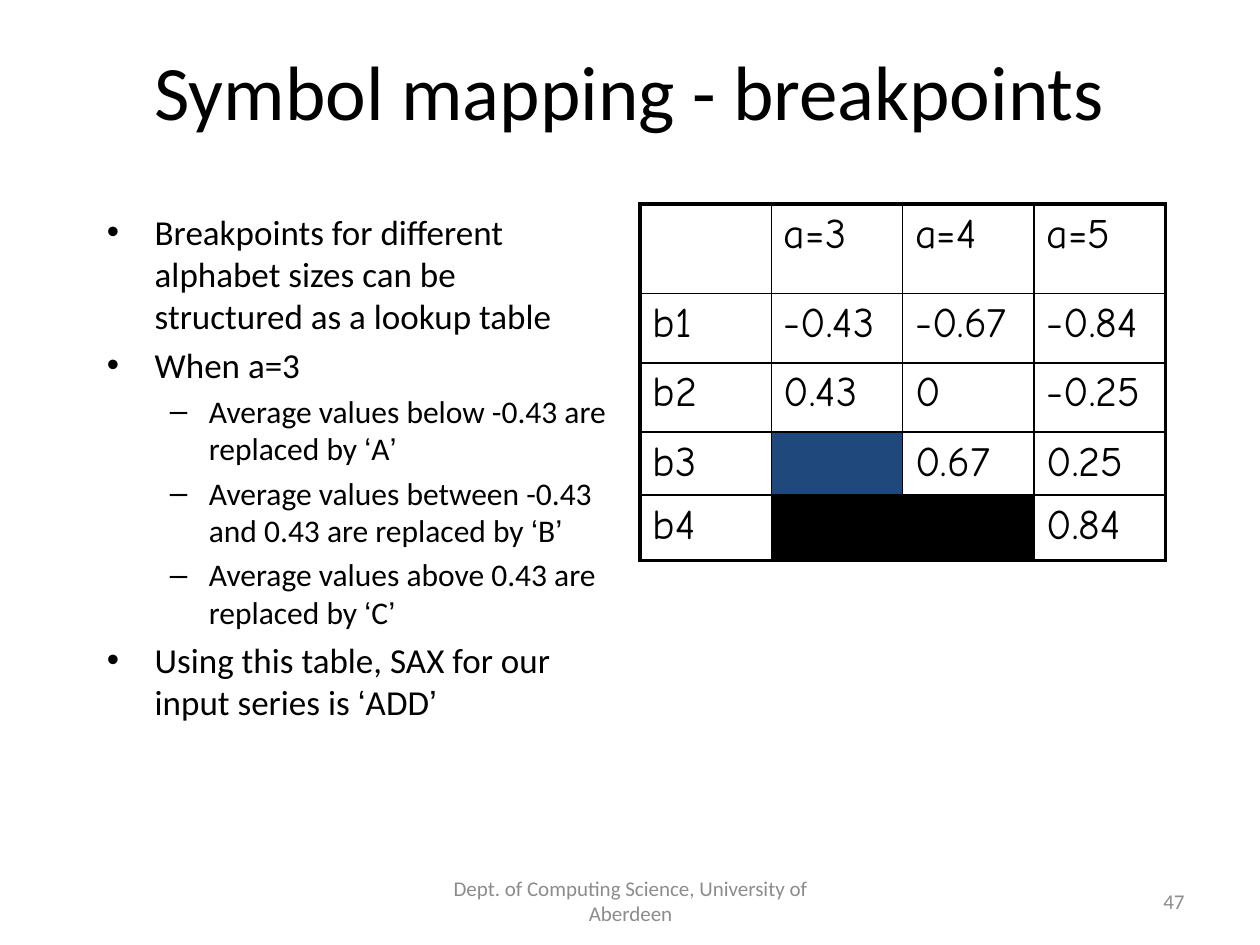
import itertools

import lxml.etree
import pptx
import pptx.dml.color
import pptx.enum.text
import pptx.oxml.ns
import pptx.util

PX = 9144
BLACK = pptx.dml.color.RGBColor(0x00, 0x00, 0x00)
GREY = pptx.dml.color.RGBColor(0x8C, 0x8C, 0x8C)
NAVY = pptx.dml.color.RGBColor(0x1F, 0x49, 0x7D)
ALIGN = pptx.enum.text.PP_ALIGN
ANCHOR = pptx.enum.text.MSO_ANCHOR

BULLETS = [
    (0, "Breakpoints for different alphabet sizes can be structured as a lookup table"),
    (0, "When a=3"),
    (1, "Average values below -0.43 are replaced by ‘A’"),
    (1, "Average values between -0.43 and 0.43 are replaced by ‘B’"),
    (1, "Average values above 0.43 are replaced by ‘C’"),
    (0, "Using this table, SAX for our input series is ‘ADD’"),
]
LEVELS = [("•", 38, 38, 20), ("–", 81, 31, 18)]
BREAKPOINTS = [
    ["", "a=3", "a=4", "a=5"],
    ["b1", "-0.43", "-0.67", "-0.84"],
    ["b2", "0.43", "0", "-0.25"],
    ["b3", "", "0.67", "0.25"],
    ["b4", "", "", "0.84"],
]
ROW_HEIGHTS = [71, 55, 55, 50, 52]
CELL_FILLS = {(3, 1): NAVY, (4, 1): BLACK, (4, 2): BLACK}


def emu(box):
    """Turn px lengths into EMU."""
    return [pptx.util.Emu(length * PX) for length in box]


def style_font(font, name, size, color):
    """Set the typeface, point size and colour of a font."""
    font.name = name
    font.size = pptx.util.Pt(size)
    font.color.rgb = color


def add_frame(page, box, anchor):
    """Add a wrapping text box and return its text frame."""
    frame = page.shapes.add_textbox(*emu(box)).text_frame
    frame.word_wrap = True
    frame.vertical_anchor = anchor
    return frame


def add_line_of_text(page, box, text, size, color, align):
    """Place a single vertically centred paragraph."""
    frame = add_frame(page, box, ANCHOR.MIDDLE)
    frame.text = text
    para = frame.paragraphs[0]
    para.alignment = align
    style_font(para.runs[0].font, "Calibri", size, color)


def set_bullet(para, symbol, left, hang):
    """Give a paragraph a bullet with a hanging indent."""
    props = para._p.get_or_add_pPr()
    props.set("marL", str(left * PX))
    props.set("indent", str(-hang * PX))
    font = lxml.etree.SubElement(props, pptx.oxml.ns.qn("a:buFont"))
    font.set("typeface", "Arial")
    bullet = lxml.etree.SubElement(props, pptx.oxml.ns.qn("a:buChar"))
    bullet.set("char", symbol)


def add_bullets(page, box, items):
    """Place the two-level list, with its quotation marks in Arial."""
    frame = add_frame(page, box, ANCHOR.TOP)
    for index, (level, text) in enumerate(items):
        para = frame.add_paragraph() if index else frame.paragraphs[0]
        symbol, left, hang, size = LEVELS[level]
        para.level = level
        set_bullet(para, symbol, left, hang)
        if index:
            para.space_before = pptx.util.Pt(size * 0.2)
        for quote, letters in itertools.groupby(text, lambda letter: letter in "‘’"):
            span = para.add_run()
            span.text = "".join(letters)
            style_font(span.font, "Arial" if quote else "Calibri", size, BLACK)


def set_border(cell, side, width):
    """Draw one solid black border of a cell."""
    props = cell._tc.get_or_add_tcPr()
    line = lxml.etree.SubElement(props, pptx.oxml.ns.qn("a:ln" + side))
    line.set("w", str(pptx.util.Pt(width)))
    fill = lxml.etree.SubElement(line, pptx.oxml.ns.qn("a:solidFill"))
    color = lxml.etree.SubElement(fill, pptx.oxml.ns.qn("a:srgbClr"))
    color.set("val", str(BLACK))


def add_breakpoint_table(page, box, values):
    """Place the lookup table with a heavy outer frame."""
    last_row, last_column = len(values) - 1, len(values[0]) - 1
    table = page.shapes.add_table(last_row + 1, last_column + 1, *emu(box)).table
    table.first_row = False
    table.horz_banding = False
    for row, height in zip(table.rows, emu(ROW_HEIGHTS)):
        row.height = height
    for r, texts in enumerate(values):
        for c, text in enumerate(texts):
            cell = table.cell(r, c)
            outer = {"L": c == 0, "R": c == last_column, "T": r == 0, "B": r == last_row}
            for side, heavy in outer.items():
                set_border(cell, side, 2.25 if heavy else 1)
            if (r, c) in CELL_FILLS:
                cell.fill.solid()
                cell.fill.fore_color.rgb = CELL_FILLS[r, c]
            else:
                cell.fill.background()
            if text:
                cell.text_frame.text = text
                span = cell.text_frame.paragraphs[0].runs[0]
                style_font(span.font, "Comic Neue", 24, BLACK)


def add_footer(page, box):
    """Place the department name and the page number along the bottom."""
    left, top, width, height = box
    add_line_of_text(page, (left + 292, top, 317, height),
                     "Dept. of Computing Science, University of Aberdeen",
                     12, GREY, ALIGN.CENTER)
    add_line_of_text(page, (left + width - 233, top, 233, height), "47",
                     12, GREY, ALIGN.RIGHT)


def main():
    """Build and save the slide."""
    deck = pptx.Presentation()
    deck.slide_width, deck.slide_height = emu((1000, 750))
    page = deck.slides.add_slide(deck.slide_layouts[6])
    add_footer(page, (50, 695, 900, 40))
    add_line_of_text(page, (75, 28, 850, 87), "Symbol mapping - breakpoints",
                     44, BLACK, ALIGN.CENTER)
    add_bullets(page, (75, 162, 417, 504), BULLETS)
    add_breakpoint_table(page, (508, 162, 417, sum(ROW_HEIGHTS)), BREAKPOINTS)
    deck.save("out.pptx")


if __name__ == "__main__":
    main()
